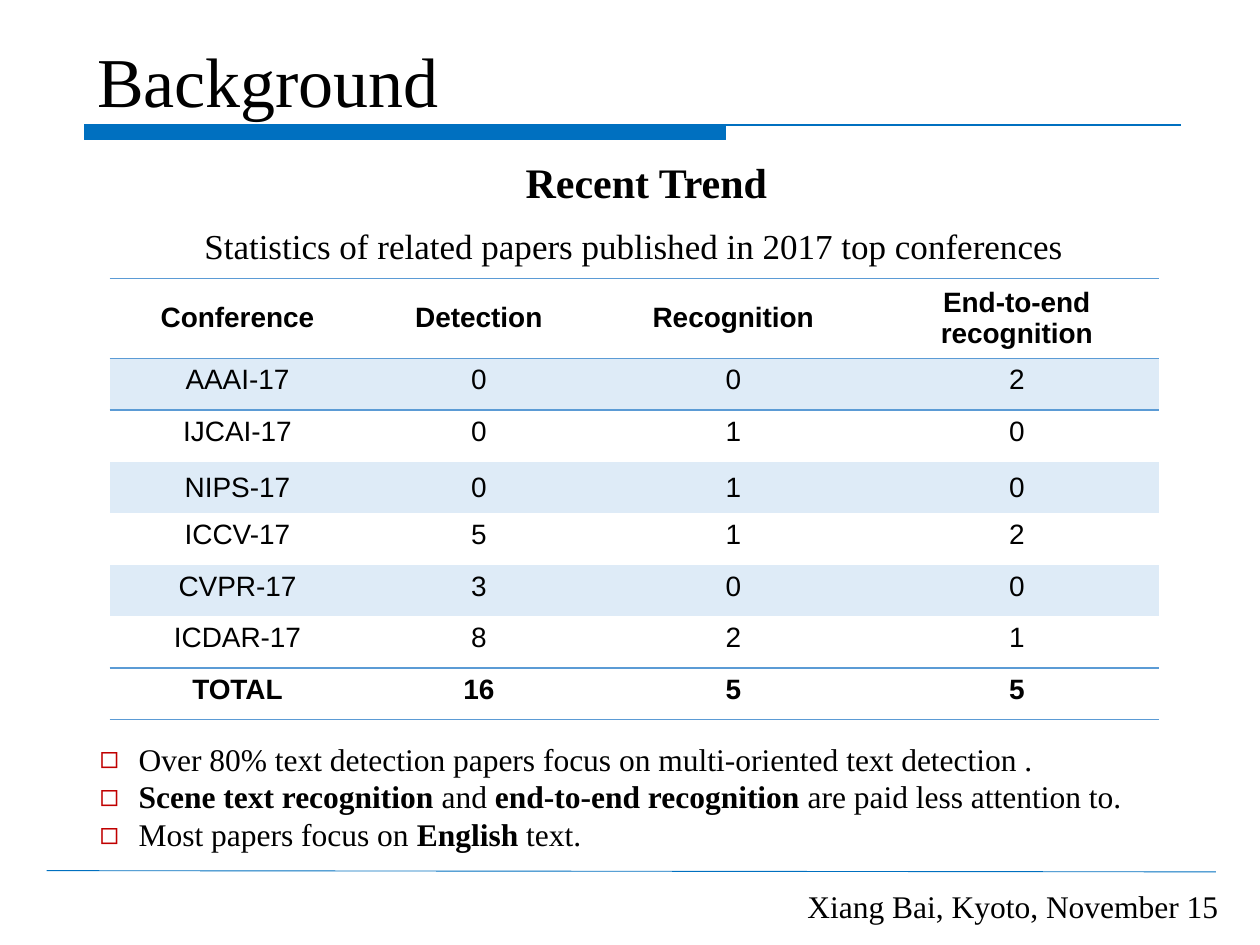
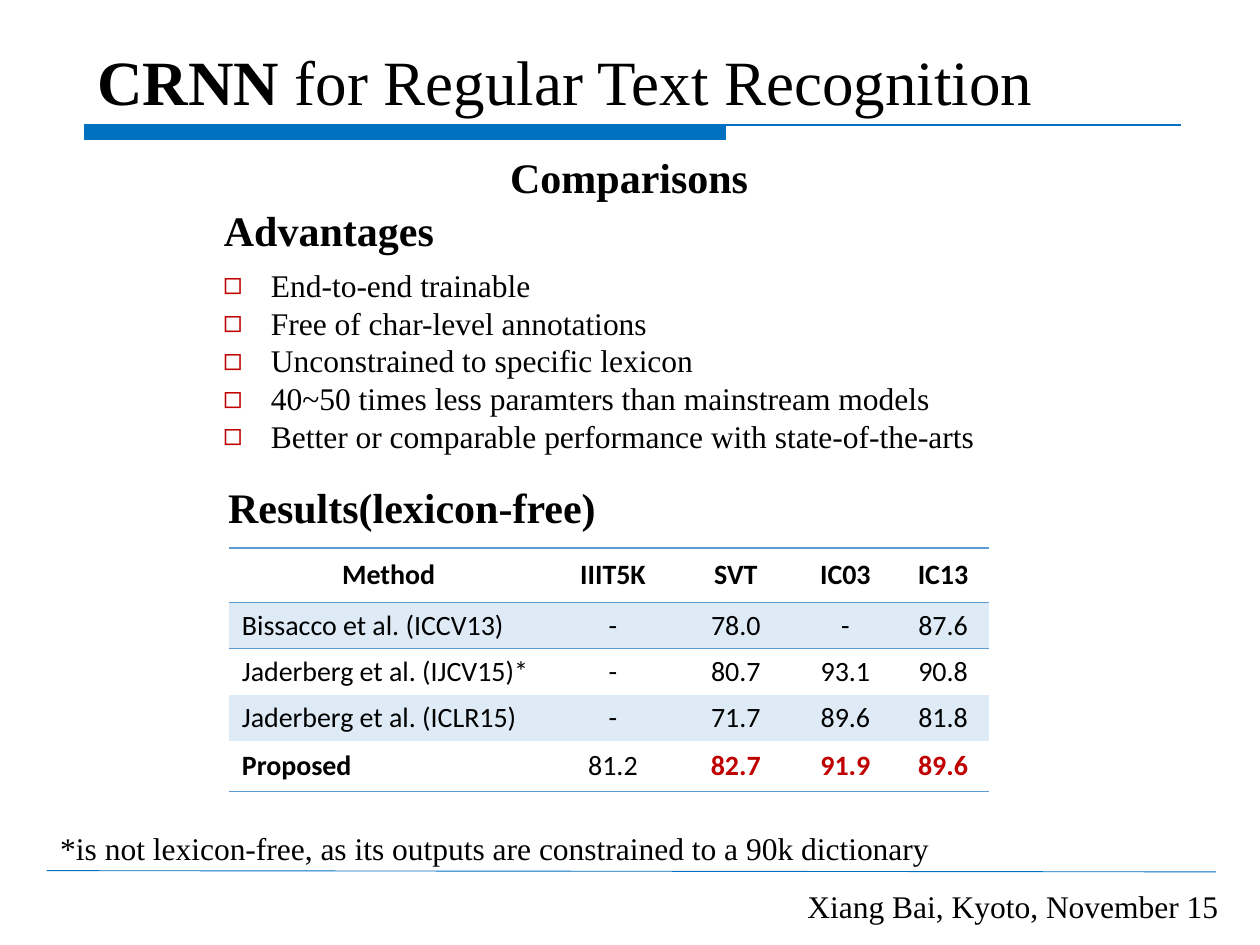
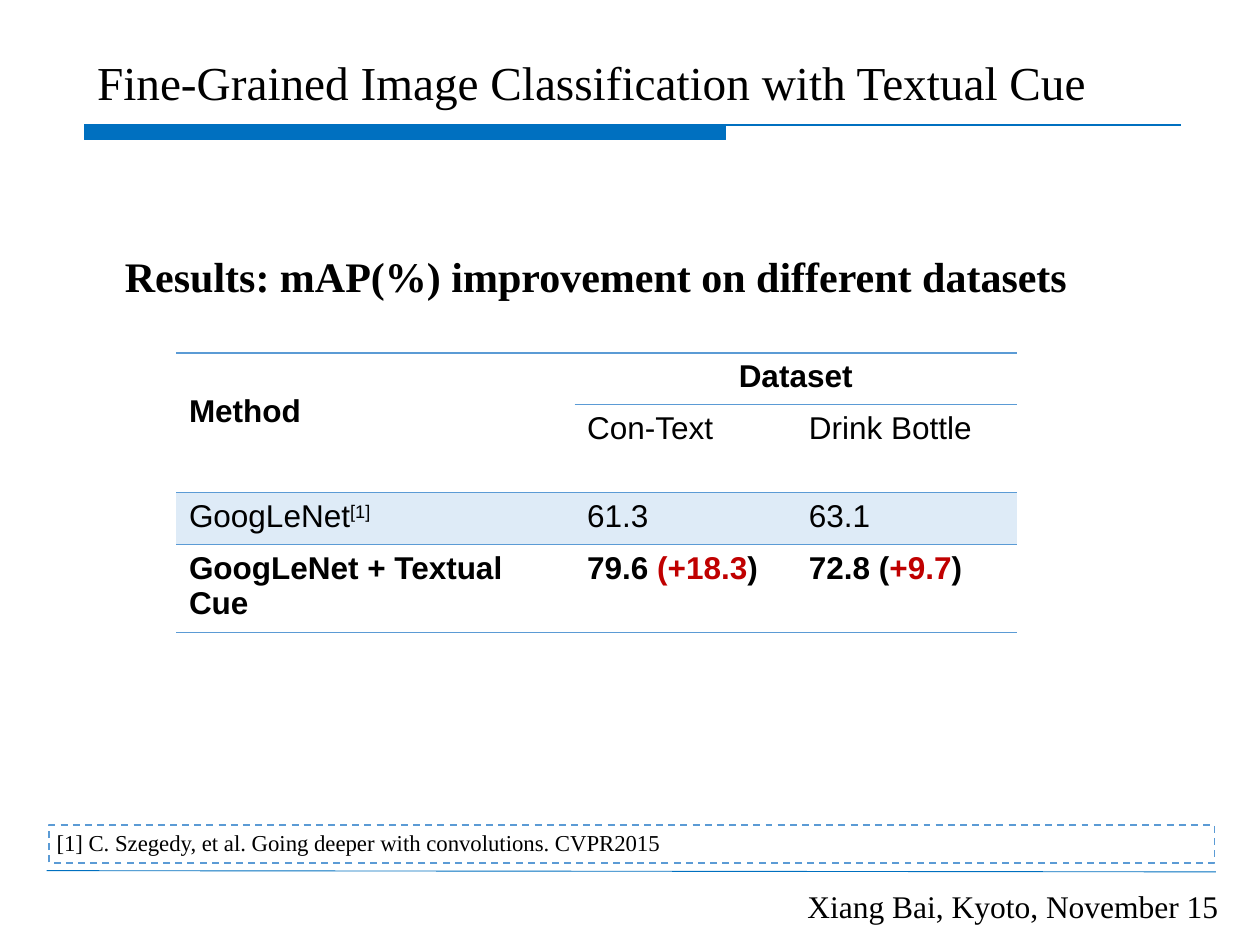
from lxml import etree
from pptx import Presentation
from pptx.dml.color import RGBColor
from pptx.enum import dml, shapes, text
from pptx.oxml import ns
from pptx.util import Inches, Pt

BLACK, WHITE, RED = "000000", "FFFFFF", "C00000"
BLUE, RULE, BAND = "0070C0", "5B9BD5", "DEEBF7"
SERIF = "Times New Roman"
LEFT, CENTER = text.PP_ALIGN.LEFT, text.PP_ALIGN.CENTER
MIDDLE, TOP = text.MSO_ANCHOR.MIDDLE, text.MSO_ANCHOR.TOP
NO_STYLE = "{2D5ABB26-0587-4C30-8999-92F81FD0307C}"


def rgb(color):
    return RGBColor.from_string(color)


def sub(parent, tag, **attrs):
    return etree.SubElement(parent, ns.qn(tag), attrs)


def write(p, content, size, font=SERIF, bold=False, align=LEFT):
    """Content is a string or (text, style) runs; style: b bold, r red, ^ superscript."""
    runs = [(content, "b" if bold else "")] if isinstance(content, str) else content
    p.alignment = align
    p.font.name, p.font.size = font, Pt(size)
    p.font.color.rgb = rgb(BLACK)
    p.font.bold = all("b" in style for _, style in runs)
    for words, style in runs:
        r = p.add_run()
        r.text = words
        if ("b" in style) != p.font.bold:
            r.font.bold = "b" in style
        if "r" in style:
            r.font.color.rgb = rgb(RED)
        if "^" in style:
            r.font._element.set("baseline", "30000")


def place(sp, box):
    sp.left, sp.top, sp.width, sp.height = (Inches(v) for v in box)


def add_text(s, box, content, size, wrap=True, **style):
    sp = s.shapes.add_textbox(*(Inches(v) for v in box))
    sp.text_frame.word_wrap = wrap
    write(sp.text_frame.paragraphs[0], content, size, **style)
    return sp


def add_rect(s, box, fill, line, width):
    sp = s.shapes.add_shape(shapes.MSO_SHAPE.RECTANGLE, *(Inches(v) for v in box))
    sp.shadow.inherit = False
    if fill:
        sp.fill.solid()
        sp.fill.fore_color.rgb = rgb(fill)
    else:
        sp.fill.background()
    sp.line.color.rgb = rgb(line)
    sp.line.width = Pt(width)
    return sp


def add_line(s, ends, width):
    sp = s.shapes.add_connector(shapes.MSO_CONNECTOR.STRAIGHT, *(Inches(v) for v in ends))
    sp.line.color.rgb = rgb(BLUE)
    sp.line.width = Pt(width)
    sub(sp._element.spPr, "a:effectLst")
    return sp


def add_frame(prs, s):
    """Draw the title bar and footer, then move them to the slide master."""
    frame = [
        add_line(s, (0.37, 6.91, 9.65, 6.92), 0.5),
        add_rect(s, (0.67, 0.99, 5.09, 0.12), BLUE, BLUE, 0.75),
        add_line(s, (0.67, 0.99, 9.37, 0.99), 1.07),
        add_text(s, (6.31, 6.99, 3.64, 0.4), "Xiang Bai, Kyoto, November 15", 18),
    ]
    for number, sp in enumerate(frame, 101):
        sp._element.xpath(".//p:cNvPr")[0].set("id", str(number))
        prs.slide_master.shapes._spTree.append(sp._element)


def set_title(s, content, size):
    sp = s.shapes.title
    place(sp, (0.67, 0.23, 8.21, 0.89))
    tf = sp.text_frame
    tf.auto_size = text.MSO_AUTO_SIZE.NONE
    tf.vertical_anchor = MIDDLE
    p = tf.paragraphs[0]
    p.line_spacing = 0.9
    write(p, content, size)


def set_list(s, box, items, indent):
    sp = s.placeholders[1]
    place(sp, box)
    tf = sp.text_frame
    tf.auto_size = text.MSO_AUTO_SIZE.NONE
    for i, item in enumerate(items):
        p = tf.paragraphs[0] if i == 0 else tf.add_paragraph()
        p.space_before = Pt(0)
        pPr = p._p.get_or_add_pPr()
        pPr.set("marL", str(Inches(indent)))
        pPr.set("indent", str(-Inches(indent)))
        sub(sub(pPr, "a:buClr"), "a:srgbClr", val=RED)
        sub(pPr, "a:buChar", char="◻")
        write(p, item, 18)
    return sp


def add_border(cell, side):
    tcPr = cell._tc.get_or_add_tcPr()
    ln = sub(tcPr, side, w=str(Pt(1)))
    sub(sub(ln, "a:solidFill"), "a:srgbClr", val=RULE)
    tcPr.insert(0, ln)


def add_table(s, corner, widths, heights, rows, size, font, bands, rules,
              bold=(0,), middle=(), align=lambda r, c: CENTER):
    """Rules are (row, first column) pairs that get a line above; the last row is closed."""
    left, top = corner
    t = s.shapes.add_table(len(rows), len(widths), Inches(left), Inches(top),
                           Inches(sum(widths)), Inches(sum(heights))).table
    t.first_row = t.horz_banding = False
    t._tbl.tblPr.find(ns.qn("a:tableStyleId")).text = NO_STYLE
    for column, width in zip(t.columns, widths):
        column.width = Inches(width)
    for r, row in enumerate(rows):
        t.rows[r].height = Inches(heights[r])
        for c, content in enumerate(row):
            cell = t.cell(r, c)
            cell.vertical_anchor = MIDDLE if r in middle else TOP
            if r in bands:
                cell.fill.solid()
                cell.fill.fore_color.rgb = rgb(BAND)
            else:
                cell.fill.background()
            if content:
                write(cell.text_frame.paragraphs[0], content, size, font, r in bold, align(r, c))
            if r == len(rows) - 1:
                add_border(cell, "a:lnB")
            if any(r == rule and c >= first for rule, first in rules):
                add_border(cell, "a:lnT")
    return t


def background_slide(s):
    set_title(s, "Background", 40)
    add_text(s, (1.75, 1.19, 6.76, 0.51), "Recent Trend", 24, bold=True, align=CENTER)
    add_text(s, (0.69, 1.73, 8.68, 0.44),
             "Statistics of related papers published in 2017 top conferences", 20, align=CENTER)
    rows = [
        ("Conference", "Detection", "Recognition", "End-to-end recognition"),
        ("AAAI-17", "0", "0", "2"),
        ("IJCAI-17", "0", "1", "0"),
        ("NIPS-17", "0", "1", "0"),
        ("ICCV-17", "5", "1", "2"),
        ("CVPR-17", "3", "0", "0"),
        ("ICDAR-17", "8", "2", "1"),
        ("TOTAL", "16", "5", "5"),
    ]
    add_table(s, (0.87, 2.21), (2.03, 1.8, 2.24, 2.26), [0.57] + [0.41] * 7, rows, 16, "Arial",
              bands=(1, 3, 5), rules=[(0, 0), (1, 0), (7, 0)], bold=(0, 7), middle=(0, 3))
    set_list(s, (0.69, 5.82, 8.79, 1.01), [
        "Over 80% text detection papers focus on multi-oriented text detection .",
        [("Scene text recognition ", "b"), ("and ", ""), ("end-to-end recognition ", "b"),
         ("are paid less attention to.", "")],
        [("Most papers focus on ", ""), ("English", "b"), (" text.", "")],
    ], 0.31)


def crnn_slide(s):
    set_title(s, [("CRNN", "b"), (" for Regular Text Recognition", "")], 36)
    add_text(s, (3.95, 1.15, 2.11, 0.51), "Comparisons", 24, wrap=False, bold=True)
    sp = set_list(s, (1.67, 2.06, 6.72, 1.62), [
        "End-to-end trainable",
        "Free of char-level annotations",
        "Unconstrained to specific lexicon",
        "40~50 times less paramters than mainstream models",
        "Better or comparable performance with state-of-the-arts",
    ], 0.38)
    sp.fill.solid()
    sp.fill.fore_color.rgb = rgb(WHITE)
    add_text(s, (1.67, 1.57, 1.88, 0.51), "Advantages", 24, bold=True, align=CENTER)
    add_text(s, (1.67, 3.77, 3.2, 0.51), "Results(lexicon-free)", 24, bold=True, align=CENTER)
    best = [[(value, "br")] for value in ("82.7", "91.9", "89.6")]
    rows = [
        ("Method", "IIIT5K", "SVT", "IC03", "IC13"),
        ("Bissacco et al. (ICCV13)", "-", "78.0", "-", "87.6"),
        ("Jaderberg et al. (IJCV15)*", "-", "80.7", "93.1", "90.8"),
        ("Jaderberg et al. (ICLR15)", "-", "71.7", "89.6", "81.8"),
        ([("Proposed", "b")], "81.2", *best),
    ]
    add_table(s, (1.82, 4.35), (2.53, 1.03, 0.92, 0.82, 0.73), (0.43, 0.36, 0.3, 0.26, 0.4),
              rows, 16, "Calibri", bands=(1, 3), rules=[(0, 0), (1, 0)], middle=range(5),
              align=lambda r, c: LEFT if r and c == 0 else CENTER)
    add_text(s, (0.38, 6.53, 7.17, 0.4),
             "*is not lexicon-free, as its outputs are constrained to a 90k dictionary",
             18, wrap=False)


def classification_slide(s):
    set_title(s, "Fine-Grained Image Classification with Textual Cue", 27)
    add_text(s, (0.89, 1.94, 7.68, 0.51), "Results: mAP(%) improvement on different datasets",
             24, bold=True, align=CENTER)
    rows = [
        ("Method", "Dataset", ""),
        ("", "Con-Text", "Drink Bottle"),
        ([("GoogLeNet", ""), ("[1]", "^")], "61.3", "63.1"),
        ("GoogLeNet + Textual Cue",
         [("79.6 ", "b"), ("(+18.3", "br"), (")", "b")],
         [("72.8 (", "b"), ("+9.7", "br"), (")", "b")]),
    ]
    t = add_table(s, (1.4, 2.8), (3.16, 1.76, 1.75), [0.41] * 4, rows, 18, "Arial",
                  bands=(2,), rules=[(0, 0), (1, 1), (2, 0), (3, 1)], bold=(0, 3),
                  align=lambda r, c: CENTER if (r, c) == (0, 1) else LEFT)
    t.cell(0, 0).merge(t.cell(1, 0))
    t.cell(0, 1).merge(t.cell(0, 2))
    t.cell(0, 0).text_frame.paragraphs[0].line_spacing = 2.0
    # Reference in a dashed frame
    add_text(s, (0.35, 6.53, 9.48, 0.32),
             "[1] C. Szegedy, et al. Going deeper with convolutions. CVPR2015", 13)
    sp = add_rect(s, (0.39, 6.55, 9.25, 0.3), None, RULE, 1)
    sp.line.dash_style = dml.MSO_LINE.DASH


def main():
    prs = Presentation()
    prs.slide_width, prs.slide_height = Inches(10), Inches(7.5)
    content, title_only = prs.slide_layouts[1], prs.slide_layouts[5]
    pages = [(background_slide, content), (crnn_slide, content),
             (classification_slide, title_only)]
    for i, (build, layout) in enumerate(pages):
        s = prs.slides.add_slide(layout)
        if i == 0:
            add_frame(prs, s)
        build(s)
    prs.save("out.pptx")


if __name__ == "__main__":
    main()
